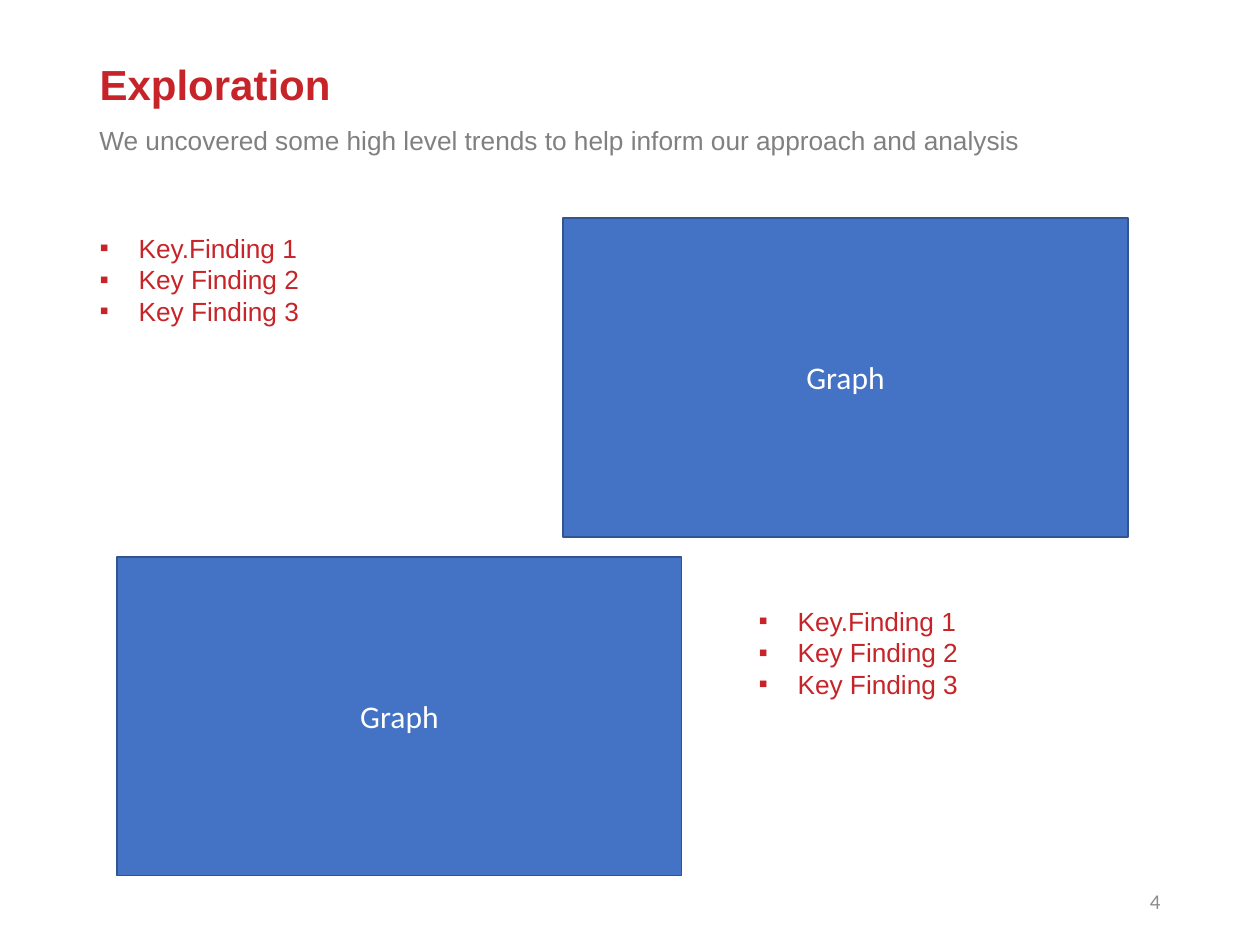
from lxml.etree import SubElement
from pptx import Presentation
from pptx.dml.color import RGBColor
from pptx.enum.shapes import MSO_SHAPE
from pptx.enum.text import MSO_ANCHOR, MSO_AUTO_SIZE, PP_ALIGN
from pptx.oxml.ns import qn
from pptx.util import Inches, Pt

COLORS = {
    "red": "C72429",
    "gray": "808080",
    "page": "8C8C8C",
    "graph": "4472C4",
    "border": "325491",
    "white": "FFFFFF",
}
FINDINGS = ["Key.Finding 1", "Key Finding 2", "Key Finding 3"]
INDENT = Inches(0.31)


def color(name):
    return RGBColor.from_string(COLORS[name])


def place(element, left, top, width, height):
    element.left, element.top = Inches(left), Inches(top)
    element.width, element.height = Inches(width), Inches(height)


def write(frame, text, size, shade, font="Arial", align=PP_ALIGN.LEFT, bold=False):
    frame.text = text
    frame.word_wrap = True
    frame.auto_size = MSO_AUTO_SIZE.NONE
    for paragraph in frame.paragraphs:
        paragraph.alignment = align
        for run in paragraph.runs:
            run.font.name = font
            run.font.size = Pt(size)
            run.font.bold = bold
            run.font.color.rgb = color(shade)


def add_title(slide, text):
    title = slide.shapes.title
    place(title, 0.69, 0.4, 8.62, 0.58)
    write(title.text_frame, text, 24, "red", bold=True)
    title.text_frame.vertical_anchor = MSO_ANCHOR.MIDDLE
    title.text_frame.paragraphs[0].line_spacing = 0.9


def add_label(slide, text, box, size, shade, **style):
    label = slide.shapes.add_textbox(*map(Inches, box))
    write(label.text_frame, text, size, shade, **style)
    return label.text_frame


def fill_findings(findings, left, top):
    place(findings, left, top, 3.49, 0.86)
    frame = findings.text_frame
    write(frame, "\n".join(FINDINGS), 15, "red")
    frame.margin_right = 0
    for paragraph in frame.paragraphs:
        properties = paragraph._p.get_or_add_pPr()
        properties.set("marL", str(INDENT))
        properties.set("indent", str(-INDENT))
        SubElement(properties, qn("a:buFont"), typeface="Arial")
        SubElement(properties, qn("a:buChar"), char="▪")
        paragraph.space_before = Pt(0)


def add_graph(slide, left, top):
    graph = slide.shapes.add_shape(
        MSO_SHAPE.RECTANGLE, Inches(left), Inches(top), Inches(4.48), Inches(2.53)
    )
    graph.shadow.inherit = False
    graph.fill.solid()
    graph.fill.fore_color.rgb = color("graph")
    graph.line.color.rgb = color("border")
    graph.line.width = Pt(1)
    write(graph.text_frame, "Graph", 18, "white", font="Calibri", align=PP_ALIGN.CENTER)
    graph.text_frame.vertical_anchor = MSO_ANCHOR.MIDDLE


def main():
    deck = Presentation()
    deck.slide_width, deck.slide_height = Inches(10), Inches(7.5)
    slide = deck.slides.add_slide(deck.slide_layouts[3])

    add_title(slide, "Exploration")
    subtitle = add_label(
        slide,
        "We uncovered some high level trends to help inform our approach and analysis",
        (0.69, 0.94, 8.26, 0.35), 15, "gray",
    )
    subtitle.margin_right = 0

    add_graph(slide, 4.47, 1.73)
    fill_findings(slide.placeholders[1], 0.69, 1.79)
    add_graph(slide, 0.93, 4.42)
    fill_findings(slide.placeholders[2], 5.92, 4.75)

    page_number = add_label(
        slide, "4", (7.06, 6.95, 2.25, 0.4), 12, "page",
        font="Calibri", align=PP_ALIGN.RIGHT,
    )
    page_number.vertical_anchor = MSO_ANCHOR.MIDDLE
    deck.save("out.pptx")


if __name__ == "__main__":
    main()
